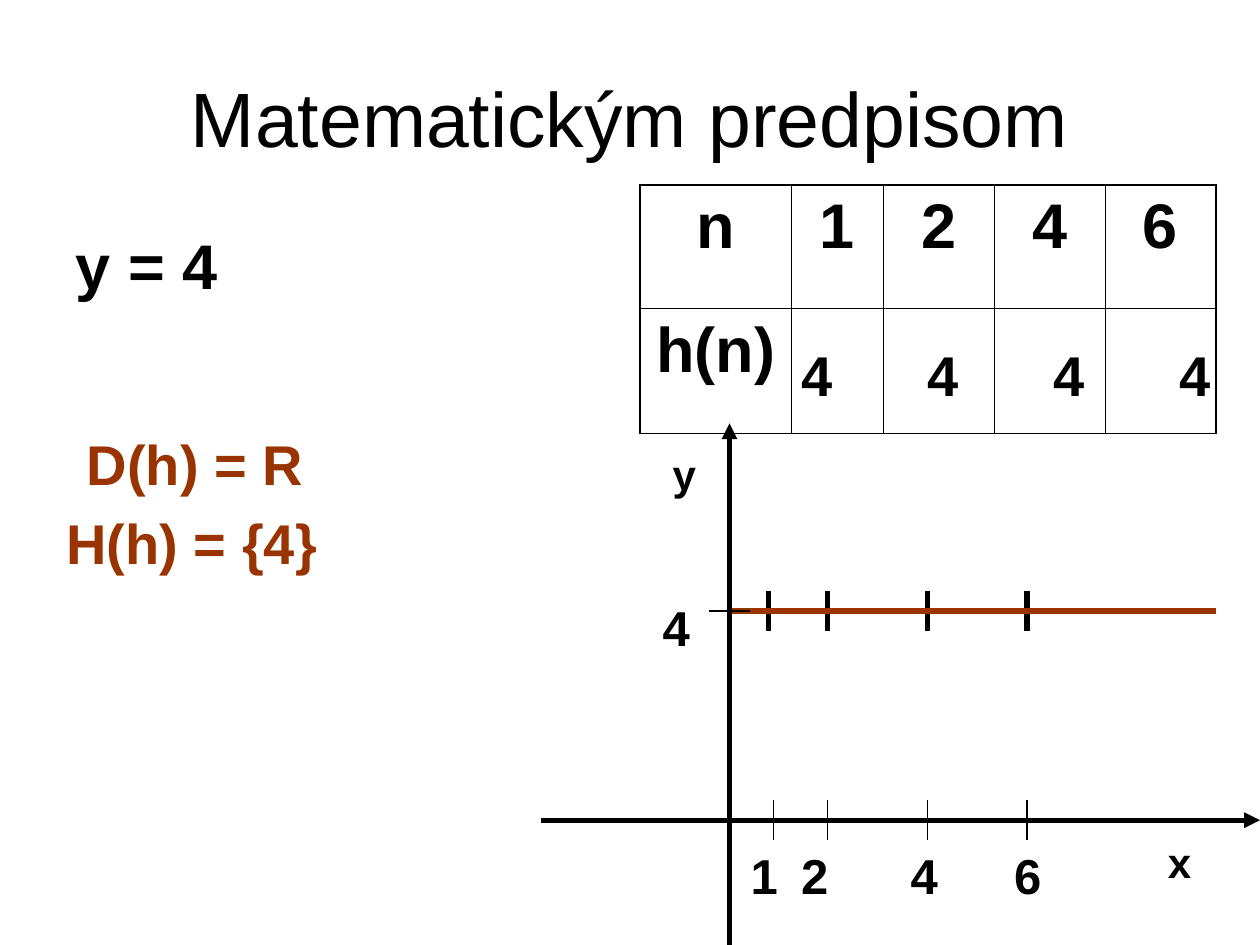
from dataclasses import dataclass

from lxml import etree
from pptx import Presentation
from pptx.dml.color import RGBColor
from pptx.enum.shapes import MSO_CONNECTOR
from pptx.enum.text import MSO_ANCHOR, MSO_AUTO_SIZE, PP_ALIGN
from pptx.oxml import parse_xml
from pptx.oxml.ns import nsdecls, qn
from pptx.util import Inches, Pt

STRAIGHT = MSO_CONNECTOR.STRAIGHT
MIDDLE, TOP = MSO_ANCHOR.MIDDLE, MSO_ANCHOR.TOP
LEFT, CENTER = PP_ALIGN.LEFT, PP_ALIGN.CENTER
NO_AUTOFIT = MSO_AUTO_SIZE.NONE


@dataclass(frozen=True)
class Theme:
    font: str = "Arial"
    ink: str = "000000"
    accent: str = "993300"
    title: int = 44
    large: int = 36
    medium: int = 32
    tick: int = 28
    axis: int = 24
    thick: float = 3
    thin: float = 0.75
    outer: float = 1.08
    inner: float = 0.45


THEME = Theme()
WIDTH, HEIGHT = 10, 7.5
ORIGIN_X, ORIGIN_Y = 5.79, 6.51
GRAPH_Y = 4.85
HALF_TICK = 0.16
# value, x of its point on the graph, x of its axis tick, left of its label
POINTS = [
    (1, 6.10, 6.14, 5.86),
    (2, 6.57, 6.57, 6.26),
    (4, 7.36, 7.36, 7.13),
    (6, 8.15, 8.15, 7.95),
]
COLUMNS = [1.2, 0.73, 0.88, 0.88, 0.88]
ROWS = [0.98, 0.99]


def format_para(para, size, color=THEME.ink, bold=True, align=LEFT):
    para.alignment = align
    para.space_before = Pt(0)
    values = {"name": THEME.font, "size": Pt(size), "bold": bold}
    for name, value in values.items():
        setattr(para.font, name, value)
    para.font.color.rgb = RGBColor.from_string(color)


def fill_placeholder(holder, text, place, anchor, **style):
    holder.left, holder.top, holder.width, holder.height = map(Inches, place)
    frame = holder.text_frame
    frame.text = text
    frame.vertical_anchor = anchor
    frame.auto_size = NO_AUTOFIT
    para = frame.paragraphs[0]
    props = para._p.get_or_add_pPr()
    props.set("marL", str(Inches(0.38)) if anchor == TOP else "0")
    props.set("indent", str(-Inches(0.38)) if anchor == TOP else "0")
    etree.SubElement(props, qn("a:buNone"))
    format_para(para, **style)


def add_label(page, text, left, top, width, height, size, color=THEME.ink):
    box = page.shapes.add_textbox(*map(Inches, (left, top, width, height)))
    box.text_frame.word_wrap = True
    para = box.text_frame.paragraphs[0]
    para.text = text
    if "\t" in text:
        stops = etree.SubElement(para._p.get_or_add_pPr(), qn("a:tabLst"))
        for column in range(1, text.count("\t") + 1):
            etree.SubElement(stops, qn("a:tab"), pos=str(Inches(column)), algn="l")
    format_para(para, size, color)


def add_line(page, start, end, width, color=THEME.ink, arrow=False):
    line = page.shapes.add_connector(STRAIGHT, *map(Inches, (*start, *end)))
    line.line.width = Pt(width)
    line.line.color.rgb = RGBColor.from_string(color)
    if arrow:
        etree.SubElement(line.line._get_or_add_ln(), qn("a:tailEnd"), type="triangle")
    etree.SubElement(line._element.spPr, qn("a:effectLst"))


def add_tick(page, x, y, width, upright=True):
    dx, dy = (0, HALF_TICK) if upright else (HALF_TICK, 0)
    add_line(page, (x - dx, y - dy), (x + dx, y + dy), width)


def set_borders(cell, outer_sides):
    """Draw thick lines on the sides that lie on the table's outline."""
    props = cell._tc.get_or_add_tcPr()
    for index, side in enumerate("LRTB"):
        width = Pt(THEME.outer if side in outer_sides else THEME.inner)
        props.insert(index, parse_xml(
            f'<a:ln{side} {nsdecls("a")} w="{width}"><a:solidFill>'
            f'<a:srgbClr val="{THEME.ink}"/></a:solidFill></a:ln{side}>'))


def add_value_table(page):
    place = map(Inches, (5.08, 1.47, sum(COLUMNS), sum(ROWS)))
    table = page.shapes.add_table(len(ROWS), len(COLUMNS), *place).table
    table.first_row = table.horz_banding = False
    for column, width in zip(table.columns, COLUMNS):
        column.width = Inches(width)
    for row, height in zip(table.rows, ROWS):
        row.height = Inches(height)
    texts = [["n", *(str(point[0]) for point in POINTS)],
             ["h(n)"] + [""] * len(POINTS)]
    for r, row_texts in enumerate(texts):
        for c, text in enumerate(row_texts):
            cell = table.cell(r, c)
            cell.text = text
            cell.fill.background()
            sides = {"T" if r == 0 else "B"}
            sides |= {"L"} if c == 0 else set()
            sides |= {"R"} if c == len(COLUMNS) - 1 else set()
            set_borders(cell, sides)
            format_para(cell.text_frame.paragraphs[0], THEME.large, align=CENTER)


def add_graph(page):
    for _, x, _, _ in POINTS:
        for upright in (False, True):
            add_tick(page, x, GRAPH_Y, THEME.thick, upright)
    add_line(page, (ORIGIN_X, GRAPH_Y), (9.65, GRAPH_Y), THEME.thick, THEME.accent)


def add_axes(page):
    add_tick(page, ORIGIN_X, GRAPH_Y, THEME.thin, upright=False)
    add_line(page, (4.29, ORIGIN_Y), (WIDTH, ORIGIN_Y), THEME.thick, arrow=True)
    add_line(page, (ORIGIN_X, HEIGHT), (ORIGIN_X, 3.36), THEME.thick, arrow=True)
    add_label(page, "4", 5.16, 4.69, 0.71, 0.57, THEME.tick)
    for value, _, x, label_left in POINTS:
        add_tick(page, x, ORIGIN_Y, THEME.thin)
        add_label(page, str(value), label_left, 6.66, 0.6, 0.57, THEME.tick)
    add_label(page, "y", 5.24, 3.51, 0.39, 0.5, THEME.axis)
    add_label(page, "x", 9.17, 6.59, 0.39, 0.5, THEME.axis)


def main():
    deck = Presentation()
    deck.slide_width, deck.slide_height = Inches(WIDTH), Inches(HEIGHT)
    page = deck.slides.add_slide(deck.slide_layouts[1])
    title, body = page.placeholders
    fill_placeholder(title, "Matematickým predpisom", (0.5, 0.3, 9, 1.25), MIDDLE,
                     size=THEME.title, bold=False, align=CENTER)
    fill_placeholder(body, "y = 4", (0.5, 1.75, 2.45, 0.98), TOP, size=THEME.large)
    add_value_table(page)
    add_graph(page)
    add_label(page, "\t".join(["4"] * len(POINTS)), 6.26, 2.65, 3.7, 0.64, THEME.medium)
    add_label(page, "D(h) = R", 0.59, 3.36, 2.36, 0.64, THEME.medium, THEME.accent)
    add_label(page, "H(h) = {4}", 0.43, 3.99, 2.6, 0.64, THEME.medium, THEME.accent)
    add_axes(page)
    deck.save("out.pptx")


if __name__ == "__main__":
    main()
